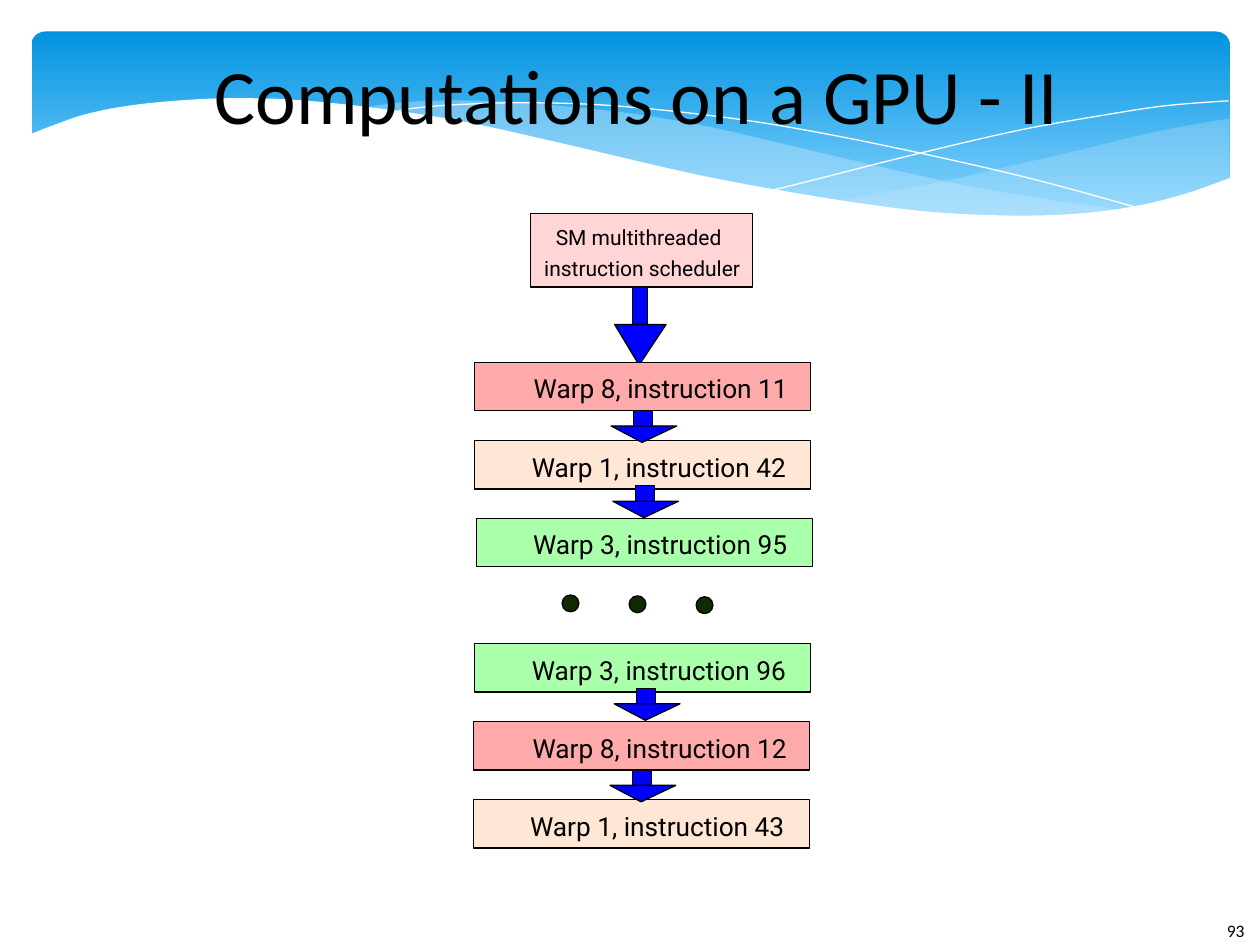
from dataclasses import dataclass

from lxml.etree import SubElement
from pptx import Presentation
from pptx.dml.color import RGBColor
from pptx.enum.shapes import MSO_SHAPE
from pptx.enum.text import MSO_ANCHOR, PP_ALIGN
from pptx.oxml.ns import qn
from pptx.util import Pt


@dataclass(frozen=True)
class Theme:
    text: str = "000000"
    outline: str = "000000"
    white: str = "FFFFFF"
    sky_top: str = "0293E0"
    sky_bottom: str = "83D3FE"
    mist: str = "C6E7FC"
    scheduler: str = "FFD5D5"
    warp8: str = "FFAAAA"
    warp1: str = "FFE6D5"
    warp3: str = "AAFFAA"
    arrow: str = "0000FF"
    dot: str = "112B00"
    title_font: str = "Calibri"
    body_font: str = "Roboto"
    title_size: int = 44
    warp_size: int = 15
    scheduler_size: int = 12
    number_size: int = 10


THEME = Theme()

RIGHT_TOP = [(702.5, 67.7), (662, 74.9), (620, 85), (580, 94.3), (542, 103),
             (508, 109.4), (476, 115.2)]
RIGHT_BOTTOM = [(476, 115.2), (518, 119.5), (554, 122.4), (586, 123.8),
                (622, 123.1), (657, 119.5), (683.3, 109.4), (702.7, 101.5)]
MIDDLE_TOP = [(643, 120.2), (602.6, 114.5), (558, 107.3), (508.3, 96.5),
              (452.9, 83.5), (409.7, 73.4), (370, 66.2), (334.8, 61.9),
              (302.4, 59), (273.6, 57.6), (247.7, 57.6), (225.4, 59), (205.9, 61.9)]
MIDDLE_BOTTOM = [(205.9, 61.9), (246, 67.7), (290.9, 76.3), (323.3, 83.5),
                 (381.6, 97.2), (432.7, 107.6), (478.8, 115.2), (520, 121),
                 (557, 123.8), (589, 124.6), (617, 123.1), (643, 120.2)]
FALLING_LINE = [(222.5, 64.8), (236, 61.9), (261.4, 59.8), (299.5, 58.7),
                (352, 60.5), (419, 67.7), (478.8, 77.8), (547.2, 92.2),
                (598.3, 104.4), (653, 119.5)]
RISING_LINE = [(441.4, 108.7), (470.2, 101.5), (518.4, 89.3), (580, 74.9),
               (623.5, 67), (665.3, 60.5), (702, 57.6)]
WHITE_EDGE = [(703.4, 101.5), (676.8, 110.9), (647.3, 118.1), (612, 122.4),
              (571, 123.1), (522.7, 120.2), (466.6, 112.3), (399.6, 100.1),
              (321.8, 82.1), (262.8, 69.1), (210.2, 61.2), (165.6, 56.9),
              (127.4, 56.2), (95, 58), (68.4, 61.2), (48.2, 65.5),
              (33.1, 70.6), (16.6, 77)]


def rgb(color):
    return RGBColor.from_string(color)


def smooth(knots, steps=5):
    padded = [knots[0], *knots, knots[-1]]
    points = []
    for a, b, c, d in zip(padded, padded[1:], padded[2:], padded[3:]):
        for i in range(steps):
            t = i / steps
            points.append(tuple(
                (2 * q + (r - p) * t + (2 * p - 5 * q + 4 * r - s) * t ** 2
                 + (3 * q - p - 3 * r + s) * t ** 3) / 2
                for p, q, r, s in zip(a, b, c, d)))
    return points + [knots[-1]]


def style(sp, fill=None, line=None, opacity=None):
    sp.shadow.inherit = False
    if fill:
        sp.fill.solid()
        sp.fill.fore_color.rgb = rgb(fill)
        if opacity:
            color = sp.fill._xPr.find(qn("a:solidFill"))[0]
            SubElement(color, qn("a:alpha")).set("val", str(opacity * 1000))
    else:
        sp.fill.background()
    if line:
        sp.line.color.rgb = rgb(line)
        sp.line.width = Pt(0)
    else:
        sp.line.fill.background()


def add_path(s, points, close=True, **look):
    start, *rest = [(Pt(x), Pt(y)) for x, y in points]
    builder = s.shapes.build_freeform(*start, scale=1.0)
    builder.add_line_segments(rest, close=close)
    style(builder.convert_to_shape(), **look)


def add_preset(s, kind, x, y, w, h, fill, line=THEME.outline):
    sp = s.shapes.add_shape(kind, Pt(x), Pt(y), Pt(w), Pt(h))
    style(sp, fill, line)
    return sp


def add_text(s, text, x, y, w, h, size, font=THEME.body_font, wrap=False, inset=(0, 0)):
    sp = s.shapes.add_textbox(Pt(x), Pt(y), Pt(w), Pt(h))
    tf = sp.text_frame
    tf.margin_left = tf.margin_right = Pt(inset[0])
    tf.margin_top = tf.margin_bottom = Pt(inset[1])
    tf.word_wrap = wrap
    tf.text = text
    r = tf.paragraphs[0].runs[0]
    r.font.size = Pt(size)
    r.font.name = font
    r.font.color.rgb = rgb(THEME.text)
    return tf


def add_arrow(s, x, y, shaft_dx, shaft_w, shaft_h, head_y, head_w, head_h, tip_dx):
    add_preset(s, MSO_SHAPE.RECTANGLE, x + shaft_dx, y, shaft_w, shaft_h, THEME.arrow)
    top = y + head_y
    add_path(s, [(x, top), (x + head_w, top), (x + tip_dx, top + head_h)],
             fill=THEME.arrow, line=THEME.outline)


def add_warp(s, text, x, y, text_x, color):
    add_preset(s, MSO_SHAPE.RECTANGLE, x, y, 192.2, 27.6, color)
    add_text(s, text, text_x, y + 5.8, 152, 20, THEME.warp_size)


def add_backdrop(s):
    sp = add_preset(s, MSO_SHAPE.ROUNDED_RECTANGLE, 18, 18, 684.7, 112.3,
                    THEME.sky_top, None)
    sp.adjustments[0] = 0.07
    sp.fill.gradient()
    sp.fill.gradient_angle = 270
    for stop, color, position in zip(sp.fill.gradient_stops,
                                     (THEME.sky_top, THEME.sky_bottom), (0, 0.9)):
        stop.color.rgb = rgb(color)
        stop.position = position
    add_path(s, smooth(RIGHT_TOP) + smooth(RIGHT_BOTTOM), fill=THEME.mist, opacity=29)
    add_path(s, smooth(MIDDLE_TOP) + smooth(MIDDLE_BOTTOM), fill=THEME.mist, opacity=40)
    for knots in (FALLING_LINE, RISING_LINE):
        add_path(s, smooth(knots), close=False, line=THEME.white)
    add_path(s, smooth(WHITE_EDGE) + [(16.6, 161.3), (703.4, 161.3)], fill=THEME.white)


def add_scheduler(s):
    add_preset(s, MSO_SHAPE.RECTANGLE, 303, 122, 127, 42, THEME.scheduler)
    add_text(s, "SM multithreaded", 317.6, 128.2, 99, 16, THEME.scheduler_size)
    add_text(s, "instruction scheduler", 311, 146.2, 115, 16, THEME.scheduler_size)
    add_arrow(s, 351.2, 164, 10.2, 8.6, 32.4, 21.4, 29.4, 23.2, 14)


def add_warps(s):
    warps = [
        ("Warp 8, instruction 11", 271.2, 207, 305, THEME.warp8),
        ("Warp 1, instruction 42", 271.2, 251.8, 304, THEME.warp1),
        ("Warp 3, instruction 95", 272.2, 296.2, 304.6, THEME.warp3),
        ("Warp 3, instruction 96", 271.2, 367.8, 304, THEME.warp3),
        ("Warp 8, instruction 12", 270.6, 412.4, 304.4, THEME.warp8),
        ("Warp 1, instruction 43", 270.6, 457, 303, THEME.warp1),
    ]
    for warp in warps:
        add_warp(s, *warp)
    for x, y in [(349.2, 234.6), (350.2, 277.6), (351, 393.4), (348.6, 440)]:
        add_arrow(s, x, y, 12.8, 11, 12.8, 8.8, 37.6, 9.4, 17.8)
    for i in range(3):
        add_preset(s, MSO_SHAPE.OVAL, 321.2 + 38.3 * i, 340 + 0.5 * i, 9.6, 9.6, THEME.dot)


def main():
    prs = Presentation()
    prs.slide_width, prs.slide_height = Pt(720), Pt(540)
    s = prs.slides.add_slide(prs.slide_layouts[6])
    add_backdrop(s)
    add_text(s, "93", 694, 522, 44, 29, THEME.number_size, THEME.title_font,
             wrap=True, inset=(7.2, 3.6))
    tf = add_text(s, "Computations on a GPU - II", 72, 16.6, 584, 73.4,
                  THEME.title_size, THEME.title_font, wrap=True)
    tf.vertical_anchor = MSO_ANCHOR.MIDDLE
    tf.paragraphs[0].alignment = PP_ALIGN.CENTER
    add_scheduler(s)
    add_warps(s)
    prs.save("out.pptx")


if __name__ == "__main__":
    main()
